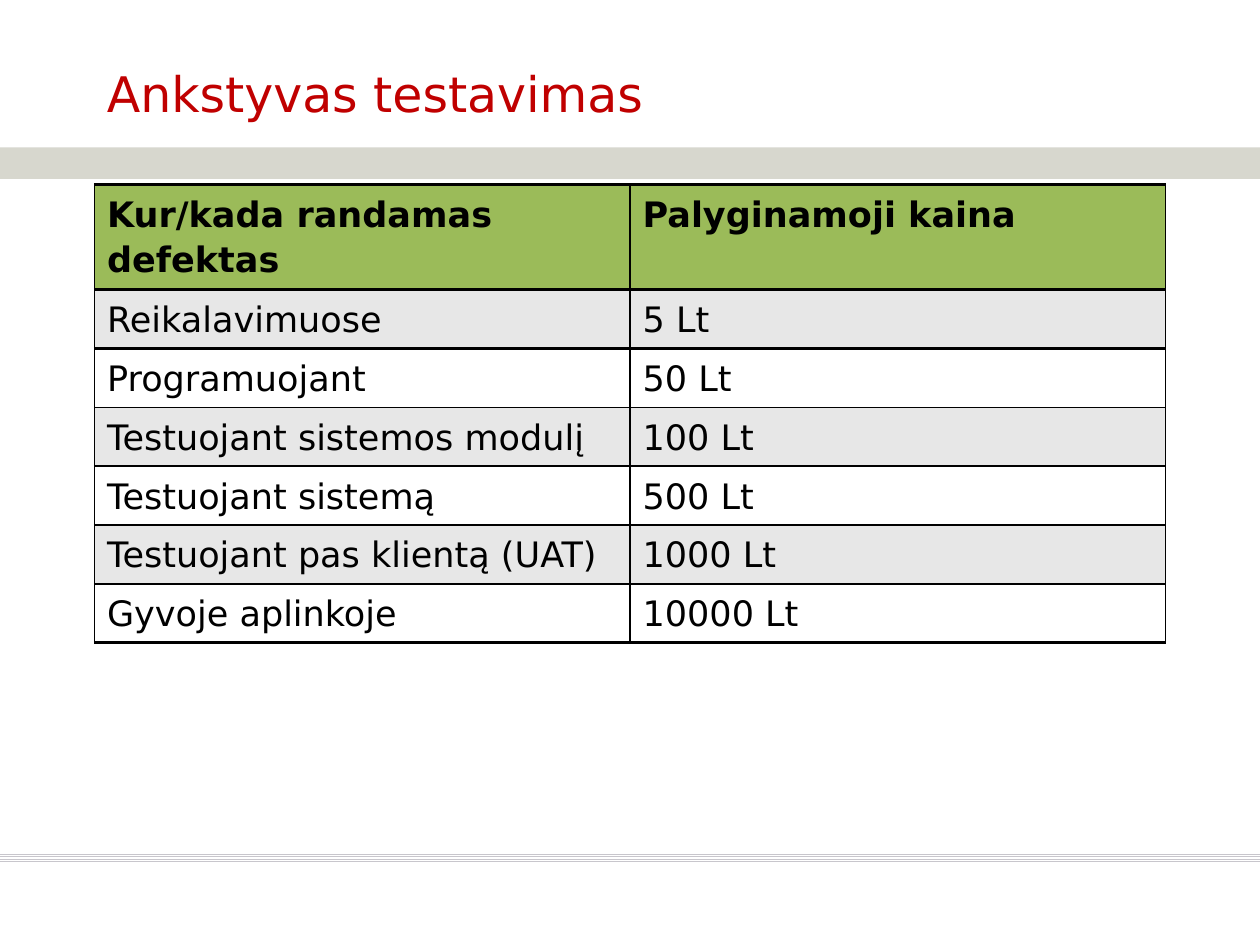
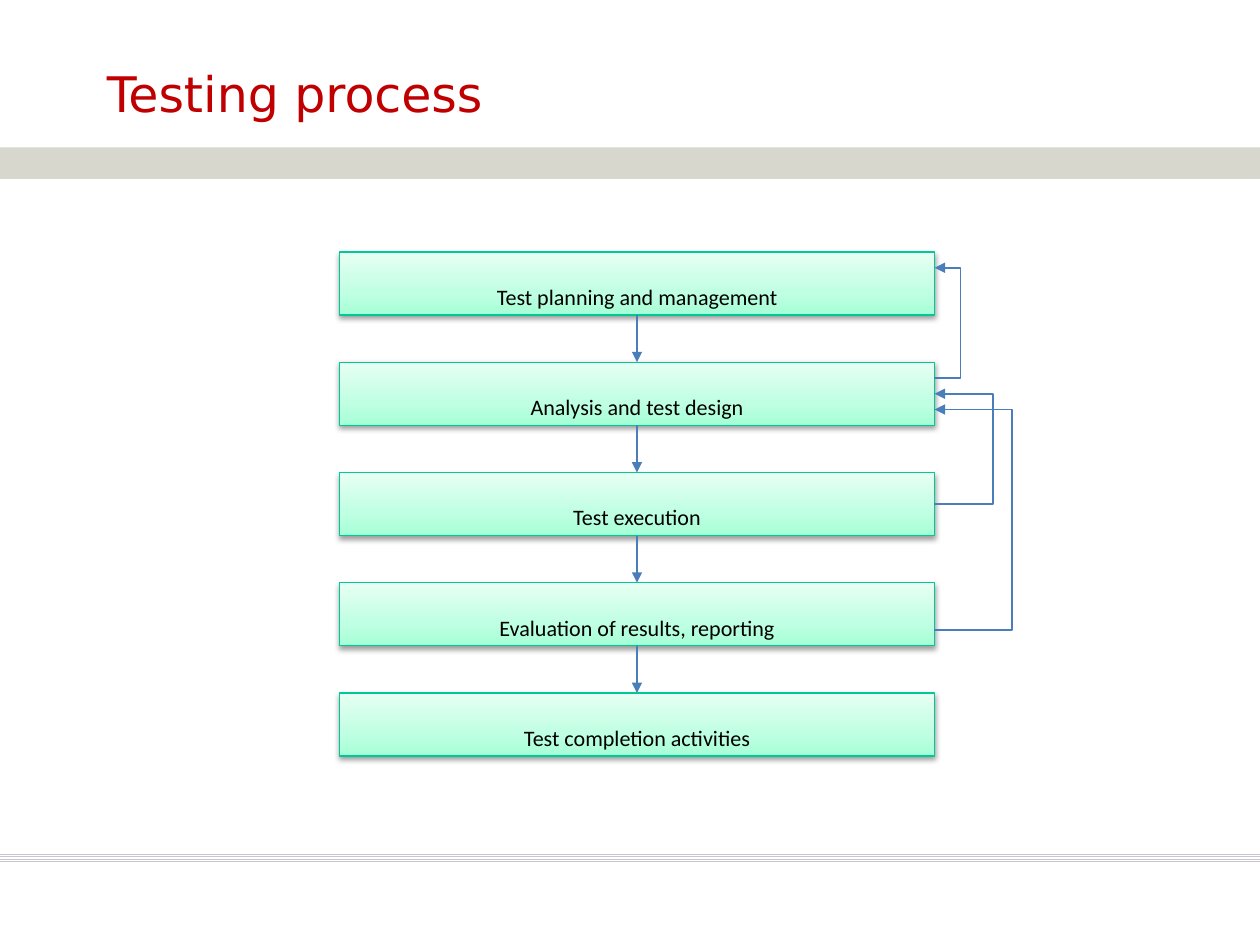
"""Build two slides on software testing: a cost table and a process chart."""
from dataclasses import dataclass

from lxml import etree
from pptx import Presentation
from pptx import util as u
from pptx.dml import color
from pptx.enum import shapes, text
from pptx.oxml import ns

Pt = u.Pt
LINK = shapes.MSO_CONNECTOR
RECT = shapes.MSO_SHAPE.RECTANGLE
MID = text.MSO_ANCHOR.MIDDLE


@dataclass(frozen=True)
class Theme:
    """Colours, fonts and sizes that the slides share."""
    title: str = "C00000"
    band: str = "D7D7CE"
    rule: str = "C8C6CC"
    ink: str = "000000"
    head: str = "9BBB59"
    rows: tuple = ("E7E7E7", "FFFFFF")
    edge: str = "00C896"
    glow: tuple = ((0, "A5FFD6"), (35, "BFFFE2"), (100, "E7FFF3"))
    arrow: str = "4A7EBB"
    sans: str = "DejaVu Sans"
    body: str = "Calibri"
    big: float = 28
    cell: float = 20
    step: float = 12.6


T = Theme()
WIDE, HIGH = 720, 540


def rgb(code):
    """Turn a hex code into a colour."""
    return color.RGBColor.from_string(code)


def apply(item, **vals):
    """Set each format value on an object."""
    for key, val in vals.items():
        setattr(item, key, val)


def node(up, tag, **attrs):
    """Add an XML child with attributes."""
    kid = etree.SubElement(up, ns.qn(tag))
    for key, val in attrs.items():
        kid.set(key, str(val))
    return kid


def write(frame, words, face, size, tint, bold=False, **para):
    """Put one styled paragraph into a text frame."""
    line = frame.paragraphs[0]
    apply(line, **para)
    run = line.add_run()
    run.text = words
    apply(run.font, name=face, size=Pt(size), bold=bold)
    run.font.color.rgb = rgb(tint)


def link(home, kind, start, end, tint, width, head=False):
    """Draw a connector without shadow, with an arrowhead on request."""
    wire = home.add_connector(kind, *map(Pt, start + end))
    wire.line.color.rgb = rgb(tint)
    wire.line.width = Pt(width)
    if head:
        node(wire.line._get_or_add_ln(), "a:tailEnd", type="triangle")
    node(wire._element.spPr, "a:effectLst")
    return wire


def frame(deck, words):
    """Add a blank slide with footer rules, band and title."""
    slide = deck.slides.add_slide(deck.slide_layouts[6])
    for i in range(4):
        y = 488.2 + 1.44 * i
        link(slide.shapes, LINK.STRAIGHT, (0, y), (WIDE, y), T.rule, 0.5)
    band = slide.shapes.add_shape(RECT, *map(Pt, (0, 84.2, WIDE, 18)))
    band.shadow.inherit = False
    band.fill.solid()
    band.fill.fore_color.rgb = rgb(T.band)
    band.line.fill.background()
    box = slide.shapes.add_textbox(*map(Pt, (54, 23, 612, 60)))
    apply(box.text_frame, word_wrap=True, vertical_anchor=MID)
    write(box.text_frame, words, T.sans, T.big, T.title)
    return slide


def border(cell, *sides):
    """Draw black rules on the named sides of a cell."""
    props = cell._tc.get_or_add_tcPr()
    for i, side in enumerate(sides):
        line = etree.Element(ns.qn("a:" + side), w=str(Pt(2)))
        node(node(line, "a:solidFill"), "a:srgbClr", val=T.ink)
        props.insert(i, line)


def prices(slide, data, box):
    """Place a two-tone table with a green header in the box."""
    last = len(data) - 1
    grid = slide.shapes.add_table(len(data), len(data[0]),
                                  *map(Pt, box)).table
    apply(grid, first_row=False, horz_banding=False)
    props = grid._tbl.tblPr
    props.remove(props.find(ns.qn("a:tableStyleId")))
    top, low = 60, (box[3] - 60) / last
    for r, row in enumerate(data):
        grid.rows[r].height = Pt(low if r else top)
        for c, words in enumerate(row):
            cell = grid.cell(r, c)
            cell.fill.solid()
            cell.fill.fore_color.rgb = rgb(T.rows[(r - 1) % 2] if r else T.head)
            write(cell.text_frame, words, T.sans, T.cell, T.ink,
                  bold=r == 0, line_spacing=1.1)
            sides = {0: ("lnT", "lnB"), 1: ("lnT",), last: ("lnB",)}
            border(cell, *sides.get(r, ()))


def step(home, words, box):
    """Draw one process step with gradient and soft shadow."""
    card = home.add_shape(RECT, *map(Pt, box))
    card.fill.gradient()
    card.fill.gradient_angle = 90
    props = card._element.spPr
    stops = props.find(".//" + ns.qn("a:gsLst"))
    for old in list(stops):
        stops.remove(old)
    for pos, tint in T.glow:
        node(node(stops, "a:gs", pos=pos * 1000), "a:srgbClr", val=tint)
    card.line.color.rgb = rgb(T.edge)
    card.line.width = Pt(0.75)
    cast = node(node(props, "a:effectLst"), "a:outerShdw", blurRad=Pt(3.1),
                dist=Pt(1.6), dir=5400000, rotWithShape=0)
    node(node(cast, "a:srgbClr", val=T.ink), "a:alpha", val=38000)
    apply(card.text_frame, word_wrap=True, vertical_anchor=MID,
          margin_top=Pt(16.4), margin_bottom=Pt(1.6))
    write(card.text_frame, words, T.body, T.step, T.ink,
          alignment=text.PP_ALIGN.CENTER)


def loop(home, x, start, end, out):
    """Lead an arrow from a lower step back up, bulging out to the right."""
    slim = 0.125
    wire = link(home, LINK.ELBOW, (x, start), (x + slim, end),
                T.arrow, 1, head=True)
    geom = wire._element.spPr.find(ns.qn("a:prstGeom"))
    for old in list(geom):
        geom.remove(old)
    node(node(geom, "a:avLst"), "a:gd", name="adj1",
         fmla=f"val {round(out / slim * 100000)}")


def process(slide, names, loops, box):
    """Stack the steps in the box, joined by arrows and return loops."""
    x, y, wide, high = box
    tall = 36
    pitch = (high - tall) / (len(names) - 1)
    home = slide.shapes.add_group_shape().shapes
    for i, words in enumerate(names):
        step(home, words, (x, y + i * pitch, wide, tall))
    mid = x + wide / 2
    for i in range(len(names) - 1):
        foot = y + i * pitch + tall
        link(home, LINK.STRAIGHT, (mid, foot), (mid, foot + pitch - tall),
             T.arrow, 1, head=True)
    for (low, from_), (up, to), out in loops:
        loop(home, x + wide, y + low * pitch + from_ * tall,
             y + up * pitch + to * tall, out)


COSTS = (
    ("Kur/kada randamas defektas", "Palyginamoji kaina"),
    ("Reikalavimuose", "5 Lt"),
    ("Programuojant", "50 Lt"),
    ("Testuojant sistemos modulį", "100 Lt"),
    ("Testuojant sistemą", "500 Lt"),
    ("Testuojant pas klientą (UAT)", "1000 Lt"),
    ("Gyvoje aplinkoje", "10000 Lt"),
)
STEPS = ("Test planning and management", "Analysis and test design",
         "Test execution", "Evaluation of results, reporting",
         "Test completion activities")
# Each loop: (step, share of its height) from and to, then the bulge.
LOOPS = (((1, 0.25), (0, 0.25), 16.5),
         ((2, 0.5), (1, 0.5), 37),
         ((3, 0.75), (1, 0.75), 49))


def main():
    """Build and save the deck."""
    deck = Presentation()
    apply(deck, slide_width=Pt(WIDE), slide_height=Pt(HIGH))
    prices(frame(deck, "Ankstyvas testavimas"), COSTS, (54, 105.5, 612, 261.6))
    process(frame(deck, "Testing process"), STEPS, LOOPS, (194, 144, 340, 288))
    deck.save("out.pptx")


main()
